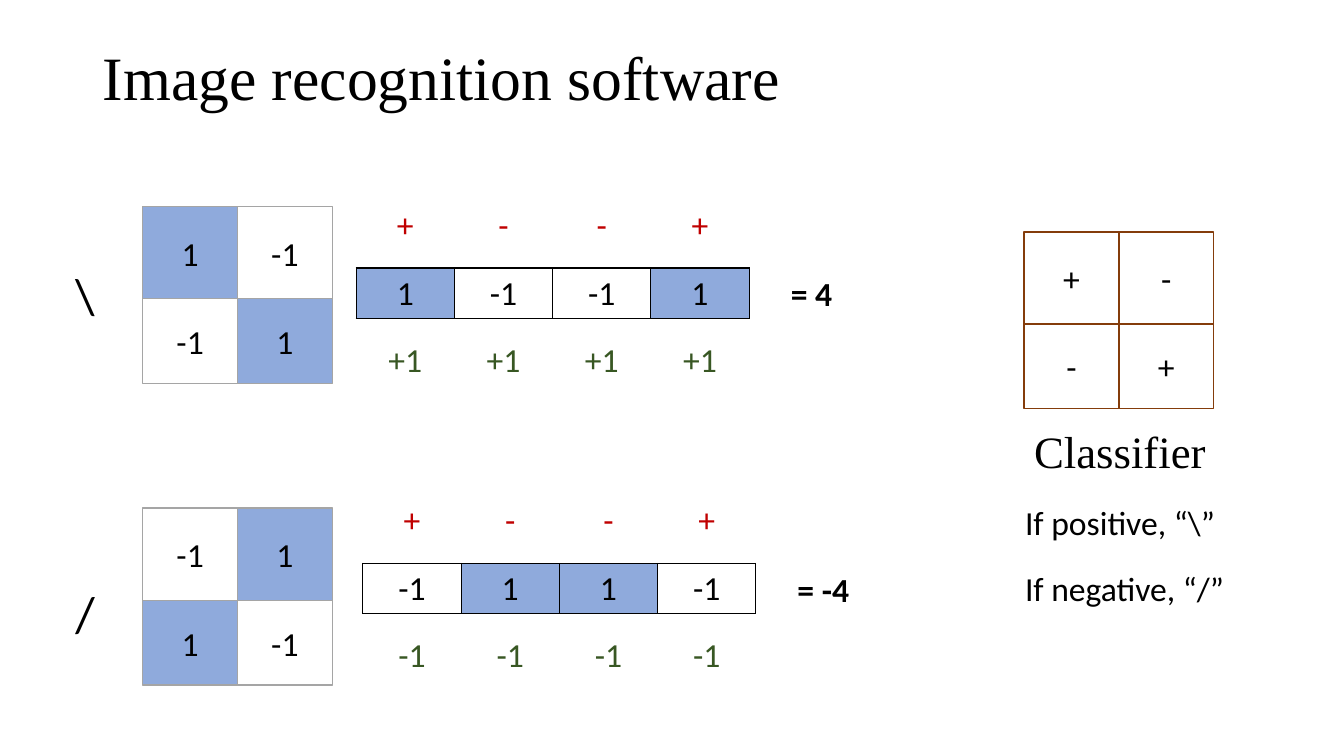
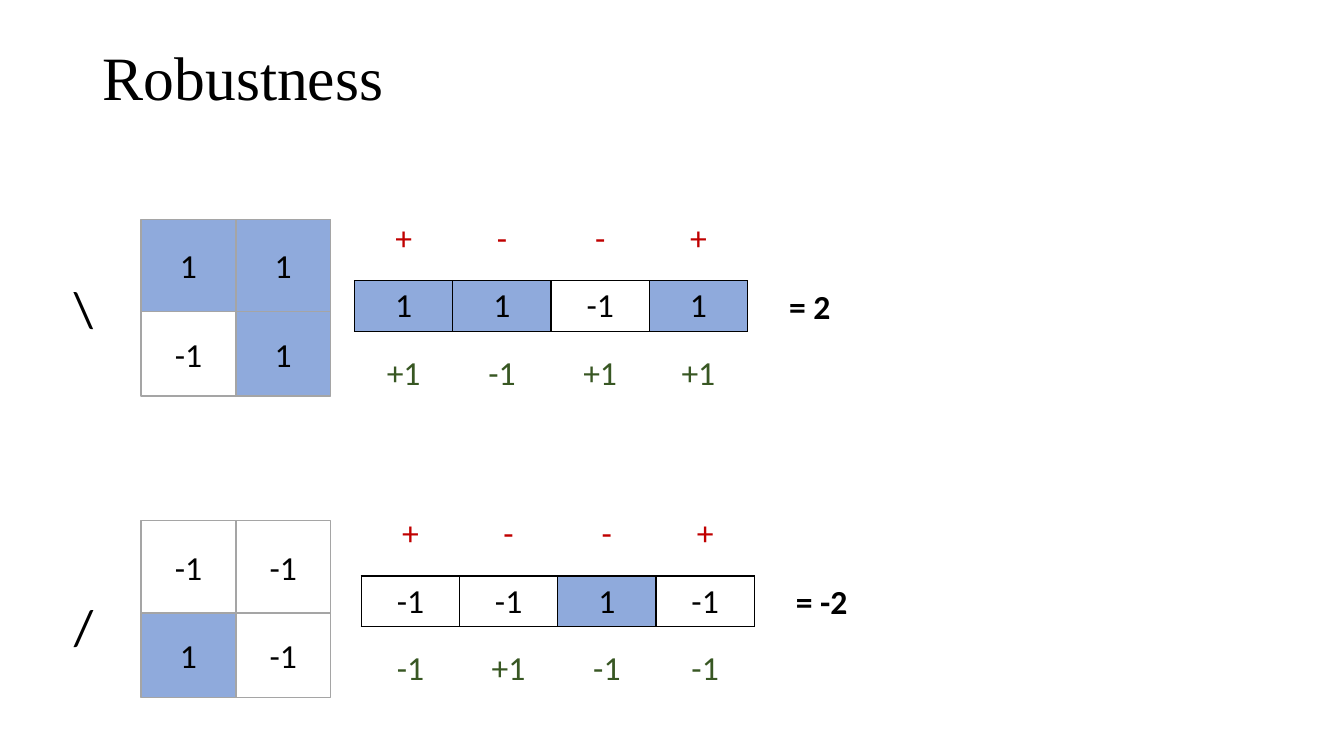
"""Build two slides that score 2x2 pixel patterns with a sign classifier."""
import lxml.etree
import pptx
import pptx.dml.color
import pptx.enum.shapes
import pptx.enum.text
import pptx.oxml.ns
import pptx.util

COLORS = {
    "text": "000000",
    "blank": "FFFFFF",
    "pixel": "8FAADC",
    "pixel_line": "A5A5A5",
    "classifier_line": "843C0B",
    "sign": "C00000",
    "product": "385723",
}
BODY_FONT = "Calibri"
TITLE_FONT = "Times New Roman"
CENTER = pptx.enum.text.PP_ALIGN.CENTER
MIDDLE = pptx.enum.text.MSO_ANCHOR.MIDDLE

presentation = pptx.Presentation()
presentation.slide_width = pptx.util.Inches(13.33)
presentation.slide_height = pptx.util.Inches(7.5)
COLUMN = presentation.slide_width / 100
ROW = presentation.slide_height / 100

CELL_WIDTH = 7.05
CELL_HEIGHTS = [12.2, 11.2]
STRIP_COLUMN = 7.31
STRIP_HEIGHT = 6.67
STRIP_STEP = 8.93
WEIGHTS = [1, -1, -1, 1]
SIGNS = ["+" if weight > 0 else "-" for weight in WEIGHTS]

PATTERNS = [
    {"symbol": "\\", "symbol_top": 34.27, "grid_top": 27.33, "strip_left": 26.5, "strip_top": 26.53},
    {"symbol": "/", "symbol_top": 76.4, "grid_top": 67.2, "strip_left": 27, "strip_top": 65.6},
]
SLIDES = [
    {
        "title": "Image recognition software",
        "shift": (0, 0),
        "pixels": [[1, -1, -1, 1], [-1, 1, 1, -1]],
        "classifier": True,
    },
    {
        "title": "Robustness",
        "shift": (-0.12, 1.67),
        "pixels": [[1, 1, -1, 1], [-1, -1, 1, -1]],
        "classifier": False,
    },
]
CLASSIFIER_LABELS = [
    ("Classifier", 76.2, 55.33, 14.4, 8.53, 32, TITLE_FONT, False),
    ("If positive, “\\”", 75.53, 65.73, 15.75, STRIP_HEIGHT, 24, BODY_FONT, False),
    ("If negative, “/”", 75.53, 74.4, 16.5, STRIP_HEIGHT, 24, BODY_FONT, False),
]


def write(frame, text, size=24, color="text", font=BODY_FONT, bold=False, alignment=None):
    """Put one styled paragraph into a text frame."""
    paragraph = frame.paragraphs[0]
    paragraph.text = text
    paragraph.alignment = alignment
    paragraph.font.size = pptx.util.Pt(size)
    paragraph.font.name = font
    paragraph.font.bold = bold
    paragraph.font.color.rgb = pptx.dml.color.RGBColor.from_string(COLORS[color])
    return paragraph


def draw_grid(slide, left, top, texts, fills, line):
    """Draw a grouped 2x2 grid of labelled squares."""
    group = slide.shapes.add_group_shape()
    for index, (text, fill) in enumerate(zip(texts, fills)):
        row, column = divmod(index, 2)
        square = group.shapes.add_shape(
            pptx.enum.shapes.MSO_SHAPE.RECTANGLE,
            pptx.util.Emu((left + column * CELL_WIDTH) * COLUMN),
            pptx.util.Emu((top + sum(CELL_HEIGHTS[:row])) * ROW),
            pptx.util.Emu(CELL_WIDTH * COLUMN),
            pptx.util.Emu(CELL_HEIGHTS[row] * ROW),
        )
        square.shadow.inherit = False
        square.fill.solid()
        square.fill.fore_color.rgb = pptx.dml.color.RGBColor.from_string(COLORS[fill])
        square.line.color.rgb = pptx.dml.color.RGBColor.from_string(COLORS[line])
        square.line.width = pptx.util.Pt(1)
        square.text_frame.vertical_anchor = MIDDLE
        write(square.text_frame, text, alignment=CENTER)


for content in SLIDES:
    slide = presentation.slides.add_slide(presentation.slide_layouts[6])
    shift_x, shift_y = content["shift"]

    title = slide.shapes.add_textbox(
        pptx.util.Emu(6.9 * COLUMN),
        pptx.util.Emu(0.93 * ROW),
        pptx.util.Emu(86.25 * COLUMN),
        pptx.util.Emu(19.33 * ROW),
    )
    title.text_frame.word_wrap = True
    title.text_frame.vertical_anchor = MIDDLE
    write(title.text_frame, content["title"], 44, font=TITLE_FONT).line_spacing = 0.9

    labels = []
    for pattern, pixels in zip(PATTERNS, content["pixels"]):
        fills = ["pixel" if pixel > 0 else "blank" for pixel in pixels]
        values = [str(pixel) for pixel in pixels]
        products = [weight * pixel for weight, pixel in zip(WEIGHTS, pixels)]
        strip_left = pattern["strip_left"] + shift_x
        strip_top = pattern["strip_top"] + shift_y

        draw_grid(slide, 10.62 + shift_x, pattern["grid_top"] + shift_y, values, fills, "pixel_line")

        strips = [
            (SIGNS, ["blank"] * 4, "sign", False),
            (values, fills, "text", True),
            ([f"{product:+d}" for product in products], ["blank"] * 4, "product", False),
        ]
        for step, (texts, cell_fills, color, bordered) in enumerate(strips):
            table = slide.shapes.add_table(
                1,
                4,
                pptx.util.Emu(strip_left * COLUMN),
                pptx.util.Emu((strip_top + step * STRIP_STEP) * ROW),
                pptx.util.Emu(4 * STRIP_COLUMN * COLUMN),
                pptx.util.Emu(STRIP_HEIGHT * ROW),
            ).table
            table.first_row = False
            table.horz_banding = False
            for cell, text, fill in zip(table.rows[0].cells, texts, cell_fills):
                write(cell.text_frame, text, color=color, alignment=CENTER)
                properties = cell._tc.get_or_add_tcPr()
                for side in ("a:lnL", "a:lnR", "a:lnT", "a:lnB"):
                    border = lxml.etree.SubElement(properties, pptx.oxml.ns.qn(side), w="12700")
                    if bordered:
                        paint = lxml.etree.SubElement(border, pptx.oxml.ns.qn("a:solidFill"))
                        lxml.etree.SubElement(paint, pptx.oxml.ns.qn("a:srgbClr"), val=COLORS["text"])
                    else:
                        lxml.etree.SubElement(border, pptx.oxml.ns.qn("a:noFill"))
                cell.fill.solid()
                cell.fill.fore_color.rgb = pptx.dml.color.RGBColor.from_string(COLORS[fill])

        result = f"= {sum(products)}"
        result_width = 2.4 + 0.75 * len(result)
        labels += [
            (pattern["symbol"], 4.88 + shift_x, pattern["symbol_top"] + shift_y, 3, 9.47, 36, BODY_FONT, False),
            (result, strip_left + 31.6, strip_top + STRIP_STEP, result_width, STRIP_HEIGHT, 24, BODY_FONT, True),
        ]

    if content["classifier"]:
        draw_grid(slide, 76.2, 30.67, SIGNS, ["blank"] * 4, "classifier_line")
        labels += CLASSIFIER_LABELS

    for text, left, top, width, height, size, font, bold in labels:
        label = slide.shapes.add_textbox(
            pptx.util.Emu(left * COLUMN),
            pptx.util.Emu(top * ROW),
            pptx.util.Emu(width * COLUMN),
            pptx.util.Emu(height * ROW),
        )
        label.text_frame.word_wrap = False
        label.text_frame.auto_size = pptx.enum.text.MSO_AUTO_SIZE.SHAPE_TO_FIT_TEXT
        write(label.text_frame, text, size, font=font, bold=bold)

presentation.save("out.pptx")
